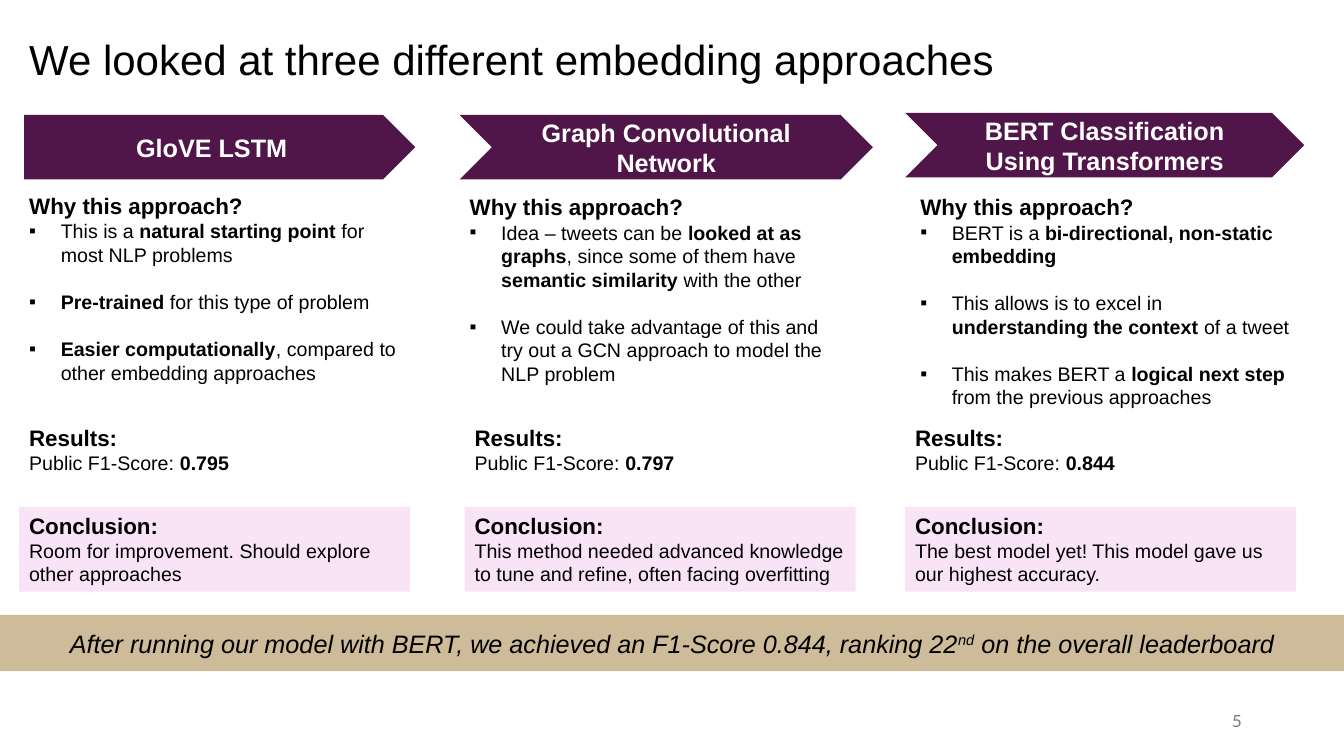
"""Builds the slide that compares three embedding approaches."""
from lxml import etree
from pptx import Presentation
from pptx import util as u
from pptx.dml import color
from pptx.enum import shapes, text
from pptx.oxml import ns

ALIGN = text.PP_ALIGN
ANCHOR = text.MSO_ANCHOR
FORM = shapes.MSO_SHAPE

HEADING = dict(size=16, bold=True)
BANNER = dict(size=18, bold=True, color="FFFFFF")

APPROACHES = [
    dict(
        form=FORM.PENTAGON, names=["GloVE LSTM"],
        banner=(17.28, 82.08, 279.36, 46.08),
        why=(13.68, 133.92, 279.36, 162.72), left=13.68,
        reasons=["This is a *natural starting point* for most NLP problems",
                 "*Pre-trained* for this type of problem",
                 "*Easier computationally*, compared to other embedding approaches"],
        score="0.795",
        conclusion="Room for improvement. Should explore other approaches"),
    dict(
        form=FORM.CHEVRON, names=["Graph Convolutional Network"],
        banner=(328.32, 82.08, 295.2, 46.08),
        why=(328.32, 134.64, 279.36, 145.44), left=331.92,
        reasons=["Idea – tweets can be *looked at as graphs*, since some of them "
                 "have *semantic similarity* with the other",
                 "We could take advantage of this and try out a GCN approach "
                 "to model the NLP problem"],
        score="0.797",
        conclusion="This method needed advanced knowledge to tune and refine, "
                   "often facing overfitting"),
    dict(
        form=FORM.CHEVRON, names=["BERT Classification", "Using Transformers"],
        banner=(646.56, 80.64, 285.12, 46.08),
        why=(650.16, 134.64, 285.12, 162.72), left=646.56,
        reasons=["BERT is a *bi-directional, non-static embedding*",
                 "This allows is to excel in *understanding the context* of a tweet",
                 "This makes BERT a *logical next step* from the previous approaches"],
        score="0.844",
        conclusion="The best model yet! This model gave us our highest accuracy."),
]


def rgb(value):
    """Turn a hex string into a colour."""
    return color.RGBColor.from_string(value)


class Sheet:
    """Holds the style and the current slide."""

    style = dict(name="Arial", size=14, bold=False, italic=False, color="000000")

    def __init__(self, slide):
        """Keep the slide that is being filled."""
        self.slide = slide

    def run(self, paragraph, words, **changes):
        """Add a run in the house style with the given changes."""
        piece = paragraph.add_run()
        piece.text = words
        for key, value in {**self.style, **changes}.items():
            if key == "color":
                piece.font.color.rgb = rgb(value)
            else:
                setattr(piece.font, key, u.Pt(value) if key == "size" else value)
        return piece

    def line(self, frame, words, first=False, bullet=None, layout=None, **changes):
        """Write a paragraph, with starred phrases in bold."""
        paragraph = frame.paragraphs[0] if first else frame.add_paragraph()
        if bullet is not None:
            self.bullet(paragraph, bullet)
        settings = dict(alignment=ALIGN.LEFT, line_spacing=1.0,
                        space_before=u.Pt(0), space_after=u.Pt(0))
        for key, value in {**settings, **(layout or {})}.items():
            setattr(paragraph, key, value)
        for index, phrase in enumerate(words.split("*")):
            if phrase:
                emphasis = dict(bold=True) if index % 2 else {}
                self.run(paragraph, phrase, **{**changes, **emphasis})
        return paragraph

    def bullet(self, paragraph, marker):
        """Give a paragraph a hanging marker, or none if it is empty."""
        properties = paragraph._p.get_or_add_pPr()
        indent = u.Pt(22.5) if marker else 0
        properties.set("marL", str(int(indent)))
        properties.set("indent", str(-int(indent)))
        if marker:
            etree.SubElement(properties, ns.qn("a:buFont"), typeface="Arial")
            etree.SubElement(properties, ns.qn("a:buChar"), char=marker)
        else:
            etree.SubElement(properties, ns.qn("a:buNone"))

    def frame(self, holder, anchor):
        """Prepare the text frame of a shape."""
        settings = dict(word_wrap=True, auto_size=text.MSO_AUTO_SIZE.NONE,
                        vertical_anchor=anchor)
        for key, value in settings.items():
            setattr(holder.text_frame, key, value)
        return holder.text_frame

    def placeholder(self, index, box, anchor=ANCHOR.TOP):
        """Move a placeholder and return its text frame."""
        holder = self.slide.placeholders[index]
        for key, value in zip(("left", "top", "width", "height"), box):
            setattr(holder, key, u.Pt(value))
        return self.frame(holder, anchor)

    def drop(self, index):
        """Remove an unused placeholder."""
        element = self.slide.placeholders[index].element
        element.getparent().remove(element)

    def label(self, box, anchor=ANCHOR.TOP):
        """Add a text box and return its text frame."""
        return self.frame(self.slide.shapes.add_textbox(*map(u.Pt, box)), anchor)

    def panel(self, form, box, fill, anchor=ANCHOR.MIDDLE):
        """Add a filled shape and return its text frame."""
        panel = self.slide.shapes.add_shape(form, *map(u.Pt, box))
        panel.shadow.inherit = False
        panel.fill.solid()
        panel.fill.fore_color.rgb = rgb(fill)
        panel.line.fill.background()
        return self.frame(panel, anchor)

    def approach(self, index, item):
        """Fill one column."""
        banner = self.panel(item["form"], item["banner"], "501649")
        for number, name in enumerate(item["names"]):
            self.line(banner, name, first=number == 0,
                      layout=dict(alignment=ALIGN.CENTER), **BANNER)

        why = self.placeholder(index, item["why"])
        self.line(why, "Why this approach?", first=True, bullet="", **HEADING)
        for number, reason in enumerate(item["reasons"]):
            gap = u.Pt(16.8 if number else 0)
            self.line(why, reason, bullet="▪", layout=dict(space_before=gap))

        results = self.label((item["left"], 299.52, 279.36, 43.92))
        self.line(results, "Results:", first=True, **HEADING)
        self.line(results, f"Public F1-Score: *{item['score']}*")

        verdict = self.panel(FORM.RECTANGLE, (item["left"], 362.16, 279.36, 60.48),
                             "F8E4F6", ANCHOR.TOP)
        self.line(verdict, "Conclusion:", first=True, **HEADING)
        self.line(verdict, item["conclusion"])


def main():
    """Build and save the slide."""
    deck = Presentation()
    deck.slide_width, deck.slide_height = u.Pt(960), u.Pt(540)
    sheet = Sheet(deck.slides.add_slide(deck.slide_layouts[4]))

    title = sheet.placeholder(0, (13.68, 17.28, 887.04, 54), ANCHOR.MIDDLE)
    sheet.line(title, "We looked at three different embedding approaches",
               first=True, layout=dict(line_spacing=0.9), size=30)

    for index, item in zip((1, 2, 4), APPROACHES):
        sheet.approach(index, item)
    sheet.drop(3)

    summary = sheet.panel(FORM.RECTANGLE, (0, 439.2, 960, 40.32), "CEBB9A")
    slogan = dict(size=18, italic=True)
    ranking = sheet.line(
        summary, "After running our model with BERT, we achieved an F1-Score 0.844, ranking 22",
        first=True, layout=dict(alignment=ALIGN.CENTER), **slogan)
    ordinal = sheet.run(ranking, "nd", **slogan)
    ordinal.font._element.set("baseline", "30000")
    sheet.run(ranking, " on the overall leaderboard", **slogan)

    page = sheet.label((678.24, 500.4, 216, 28.8), ANCHOR.MIDDLE)
    sheet.line(page, "5", first=True, layout=dict(alignment=ALIGN.RIGHT),
               name="Lato", size=12, color="797979")

    deck.save("out.pptx")


if __name__ == "__main__":
    main()
